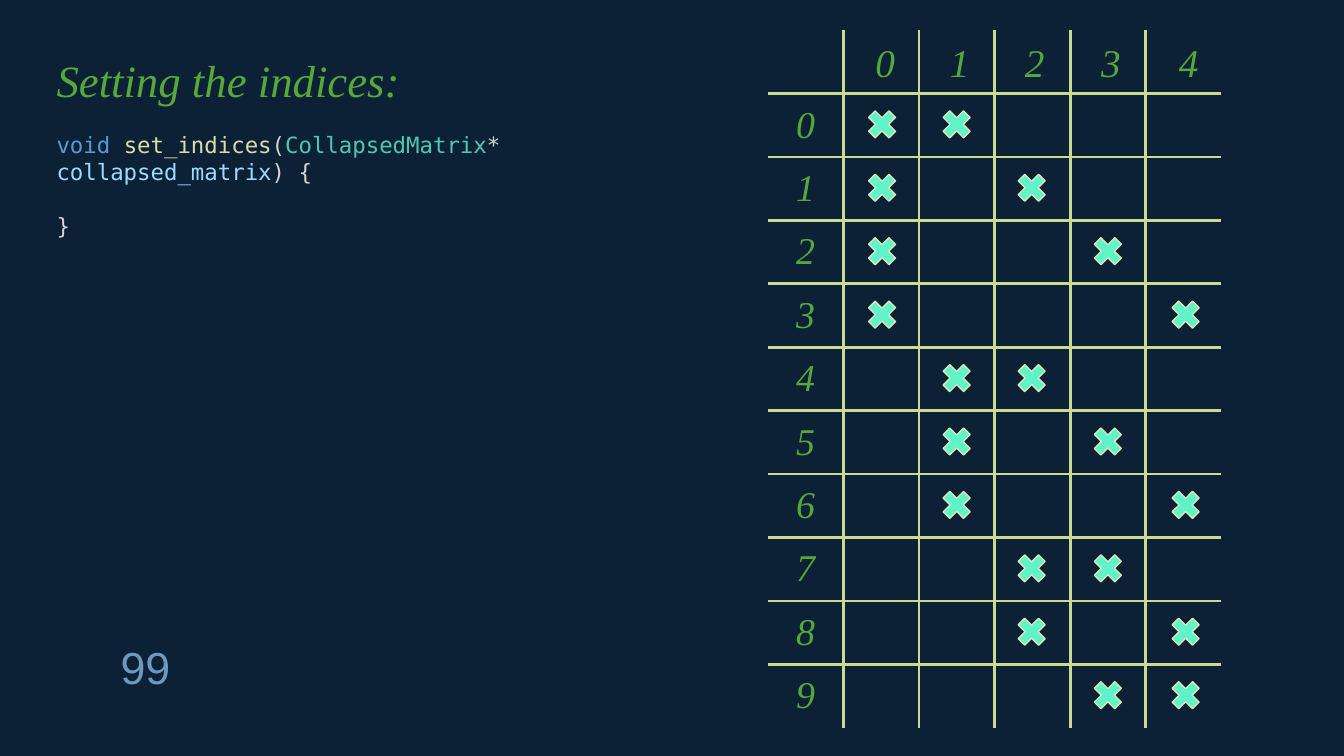
from itertools import combinations

from lxml.etree import SubElement
from pptx import Presentation
from pptx.dml.color import RGBColor
from pptx.enum.shapes import MSO_SHAPE
from pptx.enum.text import MSO_ANCHOR, MSO_AUTO_SIZE, PP_ALIGN
from pptx.oxml.ns import qn
from pptx.util import Cm, Pt

NAVY, GREEN, BLUE = "0C2036", "55A839", "6E99BD"
GRID, MINT, MINT_EDGE = "C9DA92", "5FF3CA", "DBE7B6"
PLAIN = "D4D4D4"
SERIF, MONO = "Times New Roman", "DejaVu Sans Mono"

TITLE = "Setting the indices:"
PAGE = "99"
CODE = [
    [("void ", "569CD6"), ("set_indices", "DCDCAA"), ("(", PLAIN),
     ("CollapsedMatrix", "4EC9B0"), ("* ", PLAIN),
     ("collapsed_matrix", "9CDCFE"), (") {", PLAIN)],
    [("    ", PLAIN)],
    [("}", PLAIN)],
]
COLUMNS = 5
MARKED_PAIRS = list(combinations(range(COLUMNS), 2))  # one pair of columns per row

# Lengths in centimetres
TABLE = (19.35, 0.76, 11.43, 17.58)
COLUMN_CENTRES = (22.23, 24.11, 26.0, 27.92, 29.88)
HEADER_TOP, HEADER_W, HEADER_H = 0.84, 0.84, 1.45
MARK_TOP, MARK_SIZE = 2.64, 0.99
ROW_H = TABLE[3] / (len(MARKED_PAIRS) + 1)


def rgb(value):
    return RGBColor.from_string(value)


def place(shape, left, top, width, height):
    shape.left, shape.top = Cm(left), Cm(top)
    shape.width, shape.height = Cm(width), Cm(height)


def add_text(p, text, size=32, font=SERIF, color=GREEN, italic=False, align=PP_ALIGN.LEFT):
    p.alignment = align
    r = p.add_run()
    r.text = text
    r.font.size, r.font.name, r.font.italic = Pt(size), font, italic
    r.font.color.rgb = rgb(color)


def fit(tf, wrap=True):
    tf.word_wrap = wrap
    tf.auto_size = MSO_AUTO_SIZE.SHAPE_TO_FIT_TEXT
    tf.vertical_anchor = MSO_ANCHOR.TOP


def add_label(s, text, box, **style):
    tf = s.shapes.add_textbox(*map(Cm, box)).text_frame
    fit(tf, wrap=False)
    add_text(tf.paragraphs[0], text, **style)


def set_borders(cell, sides):
    """Draw the named sides (from "LRTB") and clear the others."""
    tc_pr = cell._tc.get_or_add_tcPr()
    for side in "LRTB":
        ln = SubElement(tc_pr, qn(f"a:ln{side}"), w=str(Pt(2.25)))
        if side in sides:
            fill = SubElement(ln, qn("a:solidFill"))
            SubElement(fill, qn("a:srgbClr"), val=GRID)
        else:
            SubElement(ln, qn("a:noFill"))


def add_code(body):
    place(body, 1.17, 3.18, 17.22, 2.97)
    tf = body.text_frame
    fit(tf)
    for i, line in enumerate(CODE):
        p = tf.paragraphs[0] if i == 0 else tf.add_paragraph()
        p_pr = p._p.get_or_add_pPr()
        p_pr.set("marL", "0")
        p_pr.set("indent", "0")
        SubElement(p_pr, qn("a:buNone"))
        p.space_before = Pt(0)
        for text, color in line:
            add_text(p, text, size=16, font=MONO, color=color)


def add_grid(s):
    rows, cols = len(MARKED_PAIRS) + 1, COLUMNS + 1
    table = s.shapes.add_table(rows, cols, *map(Cm, TABLE)).table
    table.first_row = table.horz_banding = False
    for i in range(rows):
        for j in range(cols):
            cell = table.cell(i, j)
            inner = {"L": j > 0, "R": j < cols - 1, "T": i > 0, "B": i < rows - 1}
            set_borders(cell, [side for side in inner if inner[side]])
            cell.fill.background()
            if i and not j:
                cell.vertical_anchor = MSO_ANCHOR.MIDDLE
                cell.margin_left = cell.margin_right = Cm(0.18)
                cell.margin_top = cell.margin_bottom = Cm(0.1)
                add_text(cell.text_frame.paragraphs[0], str(i - 1), size=27,
                         italic=True, align=PP_ALIGN.CENTER)


def add_mark(s, row, col):
    left = COLUMN_CENTRES[col] - MARK_SIZE / 2
    mark = s.shapes.add_shape(MSO_SHAPE.MATH_MULTIPLY, Cm(left), Cm(MARK_TOP + row * ROW_H),
                              Cm(MARK_SIZE), Cm(MARK_SIZE))
    mark.shadow.inherit = False
    mark.fill.solid()
    mark.fill.fore_color.rgb = rgb(MINT)
    mark.line.color.rgb = rgb(MINT_EDGE)
    mark.line.width = Pt(1)


def main():
    prs = Presentation()
    prs.slide_width, prs.slide_height = Cm(33.87), Cm(19.05)
    s = prs.slides.add_slide(prs.slide_layouts[1])
    s.background.fill.solid()
    s.background.fill.fore_color.rgb = rgb(NAVY)

    title = s.shapes.title
    place(title, 1.17, 1.19, 17.22, 1.63)
    fit(title.text_frame)
    add_text(title.text_frame.paragraphs[0], TITLE, italic=True)
    add_code(s.placeholders[1])
    add_label(s, PAGE, (2.79, 16.0, 1.96, 1.63), font="Arial", color=BLUE)

    add_grid(s)
    for row, pair in enumerate(MARKED_PAIRS):
        for col in pair:
            add_mark(s, row, col)
    for col, centre in enumerate(COLUMN_CENTRES):
        add_label(s, str(col), (centre - HEADER_W / 2, HEADER_TOP, HEADER_W, HEADER_H),
                  size=28, italic=True, align=PP_ALIGN.CENTER)
    prs.save("out.pptx")


if __name__ == "__main__":
    main()
